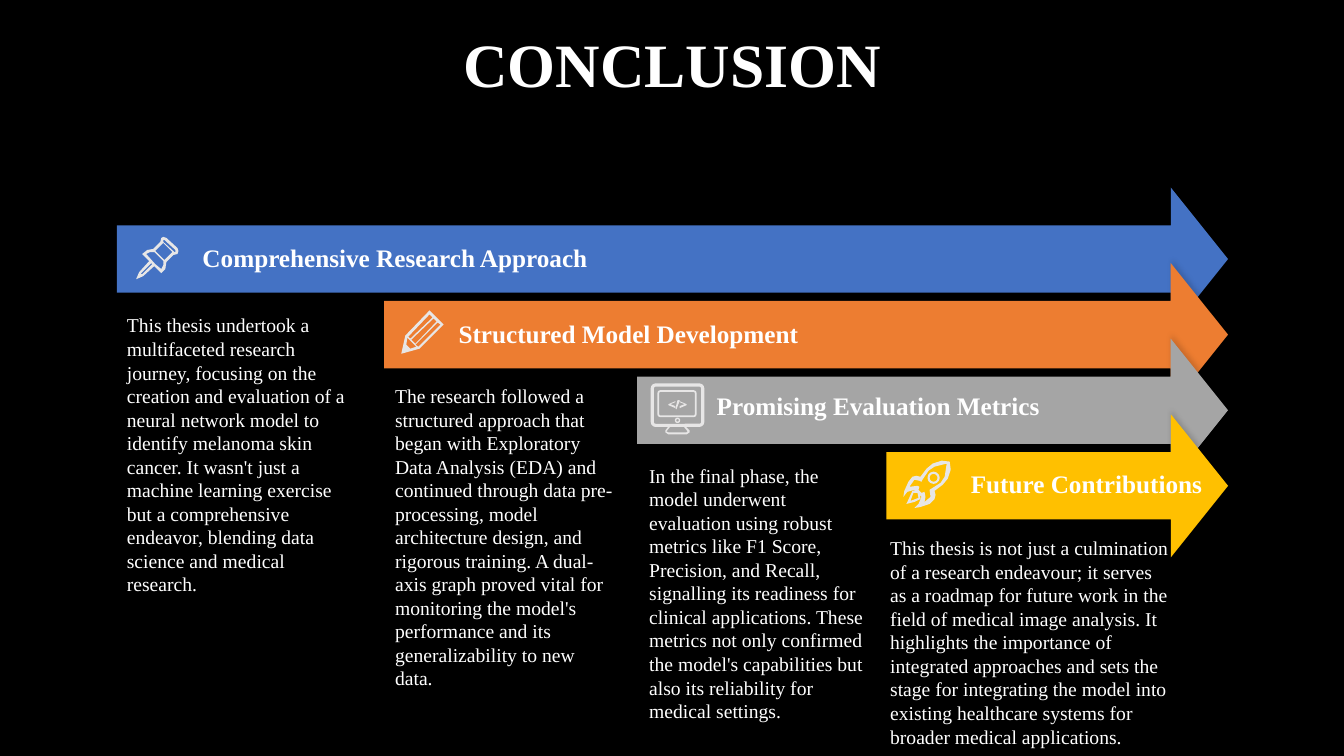
"""Build the conclusion slide: four stacked arrows with icons, headings and notes."""
from dataclasses import dataclass

from lxml.etree import SubElement
from pptx import Presentation
from pptx.dml.color import RGBColor
from pptx.enum.shapes import MSO_SHAPE
from pptx.enum.text import MSO_ANCHOR, PP_ALIGN
from pptx.oxml.ns import qn
from pptx.util import Inches, Pt


@dataclass(frozen=True)
class Theme:
    font: str = "Times New Roman"
    background: RGBColor = RGBColor(0x00, 0x00, 0x00)
    text: RGBColor = RGBColor(0xFF, 0xFF, 0xFF)
    icon: RGBColor = RGBColor(0xE7, 0xE6, 0xE6)
    blue: RGBColor = RGBColor(0x44, 0x72, 0xC4)
    orange: RGBColor = RGBColor(0xED, 0x7D, 0x31)
    gray: RGBColor = RGBColor(0xA5, 0xA5, 0xA5)
    gold: RGBColor = RGBColor(0xFF, 0xC0, 0x00)
    title_size: Pt = Pt(44)
    heading_size: Pt = Pt(18)
    body_size: Pt = Pt(14)


theme = Theme()


def add_text(shape, text, size, bold):
    """Write one styled run into the shape and return its paragraph."""
    shape.text_frame.word_wrap = True
    paragraph = shape.text_frame.paragraphs[0]
    run = paragraph.add_run()
    run.text = text
    run.font.name = theme.font
    run.font.size = size
    run.font.bold = bold
    run.font.color.rgb = theme.text
    return paragraph


def add_outline(shapes, contours):
    """Draw closed contours, in inches, as one icon part; inner contours are holes."""
    scaled = [[(Inches(x), Inches(y)) for x, y in contour] for contour in contours]
    builder = shapes.build_freeform(*scaled[0][0])
    builder.add_line_segments(scaled[0][1:], close=True)
    for contour in scaled[1:]:
        builder.move_to(*contour[0])
        builder.add_line_segments(contour[1:], close=True)
    shape = builder.convert_to_shape()
    shape.shadow.inherit = False
    shape.fill.solid()
    shape.fill.fore_color.rgb = theme.icon
    shape.line.fill.background()


presentation = Presentation()
presentation.slide_width = Inches(13.33)
presentation.slide_height = Inches(7.5)
slide = presentation.slides.add_slide(presentation.slide_layouts[5])
slide.background.fill.solid()
slide.background.fill.fore_color.rgb = theme.background

title = slide.shapes.title
title.left, title.top = Inches(0.92), Inches(0.2)
title.width, title.height = Inches(11.5), Inches(0.94)
title.text_frame.vertical_anchor = MSO_ANCHOR.MIDDLE
title_paragraph = add_text(title, "CONCLUSION", theme.title_size, True)
title_paragraph.alignment = PP_ALIGN.CENTER
title_paragraph.line_spacing = 0.9

ARROW_TOP, ARROW_STEP, ARROW_HEIGHT, ARROW_RIGHT = 1.86, 0.75, 1.42, 12.18
arrows = [(1.16, theme.blue), (3.81, theme.orange), (6.32, theme.gray), (8.79, theme.gold)]
for index, (left, color) in enumerate(arrows):
    arrow = slide.shapes.add_shape(
        MSO_SHAPE.RIGHT_ARROW, Inches(left), Inches(ARROW_TOP + index * ARROW_STEP),
        Inches(ARROW_RIGHT - left), Inches(ARROW_HEIGHT))
    arrow.adjustments[0] = 0.47
    arrow.adjustments[1] = 0.4
    arrow.fill.solid()
    arrow.fill.fore_color.rgb = color
    arrow.line.fill.background()
    arrow.shadow.inherit = False
    effects = arrow.element.spPr.find(qn("a:effectLst"))
    shadow = SubElement(effects, qn("a:outerShdw"), blurRad=str(Pt(4)), dist=str(Pt(3)),
                        dir="16200000", algn="b", rotWithShape="0")
    shadow_color = SubElement(shadow, qn("a:srgbClr"), val=str(theme.background))
    SubElement(shadow_color, qn("a:alpha"), val="15000")

pin = [
    [(1.65, 2.6), (1.72, 2.53), (1.76, 2.52), (1.77, 2.49), (1.76, 2.46), (1.65, 2.36),
     (1.62, 2.35), (1.6, 2.36), (1.59, 2.4), (1.52, 2.47), (1.46, 2.48), (1.41, 2.52),
     (1.48, 2.59), (1.38, 2.7), (1.35, 2.77), (1.42, 2.74), (1.53, 2.64), (1.6, 2.71),
     (1.64, 2.67)],
    [(1.63, 2.38), (1.74, 2.48), (1.74, 2.5), (1.73, 2.5), (1.62, 2.4), (1.62, 2.38)],
    [(1.63, 2.58), (1.54, 2.49), (1.62, 2.41), (1.71, 2.5)],
    [(1.41, 2.72), (1.4, 2.72), (1.4, 2.71), (1.5, 2.61), (1.51, 2.62)],
    [(1.54, 2.62), (1.45, 2.52), (1.49, 2.5), (1.53, 2.5), (1.62, 2.59), (1.62, 2.63),
     (1.6, 2.67)],
]
pencil = [
    [(4.4, 3.22), (4.26, 3.08), (4.02, 3.33), (3.98, 3.51), (4.16, 3.46)],
    [(4.15, 3.44), (4.12, 3.42), (4.34, 3.2), (4.37, 3.22)],
    [(4.07, 3.46), (4.03, 3.42), (4.04, 3.35), (4.13, 3.44)],
    [(4.33, 3.19), (4.12, 3.41), (4.08, 3.37), (4.3, 3.16)],
    [(4.26, 3.12), (4.29, 3.15), (4.07, 3.36), (4.05, 3.34)],
]
monitor_stand = [
    [(6.63, 4.23), (6.6, 4.27), (6.6, 4.29), (6.63, 4.31), (6.81, 4.31), (6.84, 4.29),
     (6.84, 4.27), (6.8, 4.23)],
    [(6.65, 4.23), (6.61, 4.28), (6.63, 4.29), (6.81, 4.29), (6.82, 4.28), (6.78, 4.23)],
]
left_bracket = [[(6.63, 4.02), (6.7, 4.05), (6.7, 4.03), (6.65, 4.01), (6.7, 3.99),
                 (6.7, 3.98), (6.63, 4.01)]]
slash = [[(6.72, 3.97), (6.7, 4.05), (6.71, 4.06), (6.74, 3.98), (6.74, 3.97)]]
right_bracket = [[(6.74, 3.99), (6.79, 4.01), (6.74, 4.03), (6.74, 4.05), (6.81, 4.02),
                  (6.81, 4.01), (6.74, 3.98)]]
rocket_body = [
    [(8.96, 4.93), (8.97, 4.87), (9.01, 4.78), (9.05, 4.73), (9.09, 4.72), (9.13, 4.73),
     (9.19, 4.65), (9.25, 4.6), (9.34, 4.57), (9.42, 4.58), (9.43, 4.66), (9.4, 4.75),
     (9.35, 4.81), (9.27, 4.87), (9.28, 4.91), (9.27, 4.95), (9.22, 5), (9.13, 5.03),
     (9.07, 5.04), (9.11, 5), (9.14, 4.93), (9.07, 4.86), (9, 4.88)],
    [(9.27, 4.63), (9.21, 4.67), (9.15, 4.76), (9.14, 4.78), (9.12, 4.77), (9.07, 4.76),
     (9.02, 4.83), (9.1, 4.82), (9.12, 4.83), (9.11, 4.86), (9.14, 4.89), (9.17, 4.88),
     (9.18, 4.93), (9.17, 4.98), (9.23, 4.93), (9.22, 4.86), (9.33, 4.79), (9.37, 4.73),
     (9.39, 4.6)],
]
rocket_flame = [
    [(8.99, 5), (9.05, 4.87), (9.09, 4.86), (9.12, 4.88), (9.13, 4.95), (9.07, 4.98)],
    [(9.1, 4.89), (9.06, 4.89), (9.03, 4.97), (9.11, 4.94)],
]
monitor = slide.shapes.add_group_shape()
rocket = slide.shapes.add_group_shape()
for part in (monitor_stand, left_bracket, slash, right_bracket):
    add_outline(monitor.shapes, part)
for part in (rocket_body, rocket_flame):
    add_outline(rocket.shapes, part)
for part in (pin, pencil):
    add_outline(slide.shapes, part)

rings = [
    (monitor, MSO_SHAPE.ROUNDED_RECTANGLE, 6.47, 3.82, 0.5, 0.4, 2.25),
    (monitor, MSO_SHAPE.ROUNDED_RECTANGLE, 6.53, 3.88, 0.37, 0.25, 1.25),
    (monitor, MSO_SHAPE.OVAL, 6.7, 4.15, 0.04, 0.04, 1),
    (rocket, MSO_SHAPE.OVAL, 9.21, 4.69, 0.1, 0.1, 1.5),
]
for group, kind, left, top, width, height, weight in rings:
    ring = group.shapes.add_shape(kind, Inches(left), Inches(top), Inches(width), Inches(height))
    if kind == MSO_SHAPE.ROUNDED_RECTANGLE:
        ring.adjustments[0] = 0.08
    ring.shadow.inherit = False
    ring.fill.background()
    ring.line.color.rgb = theme.icon
    ring.line.width = Pt(weight)

notes = [
    (1.16, 3.06, 2.39, 2.93, "This thesis undertook a multifaceted research journey, focusing on the creation and evaluation of a neural network model to identify melanoma skin cancer. It wasn't just a machine learning exercise but a comprehensive endeavor, blending data science and medical research."),
    (3.82, 3.76, 2.39, 3.16, "The research followed a structured approach that began with Exploratory Data Analysis (EDA) and continued through data pre-processing, model architecture design, and rigorous training. A dual-axis graph proved vital for monitoring the model's performance and its generalizability to new data."),
    (6.34, 4.55, 2.39, 2.69, "In the final phase, the model underwent evaluation using robust metrics like F1 Score, Precision, and Recall, signalling its readiness for clinical applications. These metrics not only confirmed the model's capabilities but also its reliability for medical settings."),
    (8.73, 5.27, 3.01, 2.22, "This thesis is not just a culmination of a research endeavour; it serves as a roadmap for future work in the field of medical image analysis. It highlights the importance of integrated approaches and sets the stage for integrating the model into existing healthcare systems for broader medical applications."),
]
for left, top, width, height, text in notes:
    note = slide.shapes.add_textbox(Inches(left), Inches(top), Inches(width), Inches(height))
    add_text(note, text, theme.body_size, False).space_before = Pt(2.8)

headings = [
    (1.91, 2.35, 4.29, "Comprehensive Research Approach"),
    (4.45, 3.11, 4.26, "Structured Model Development"),
    (7.01, 3.82, 3.44, "Promising Evaluation Metrics"),
    (9.53, 4.6, 3.28, "Future Contributions"),
]
for left, top, width, text in headings:
    heading = slide.shapes.add_textbox(Inches(left), Inches(top), Inches(width), Inches(0.4))
    add_text(heading, text, theme.heading_size, True)

presentation.save("out.pptx")
